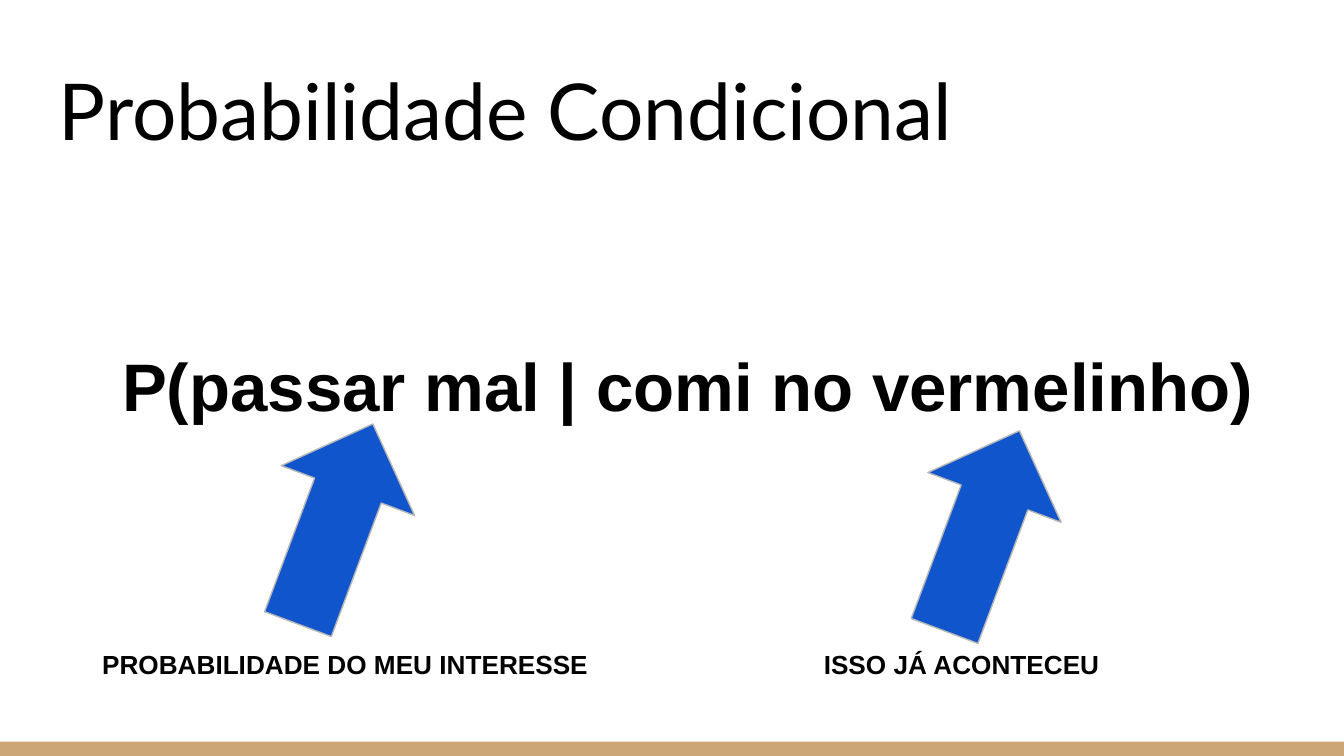
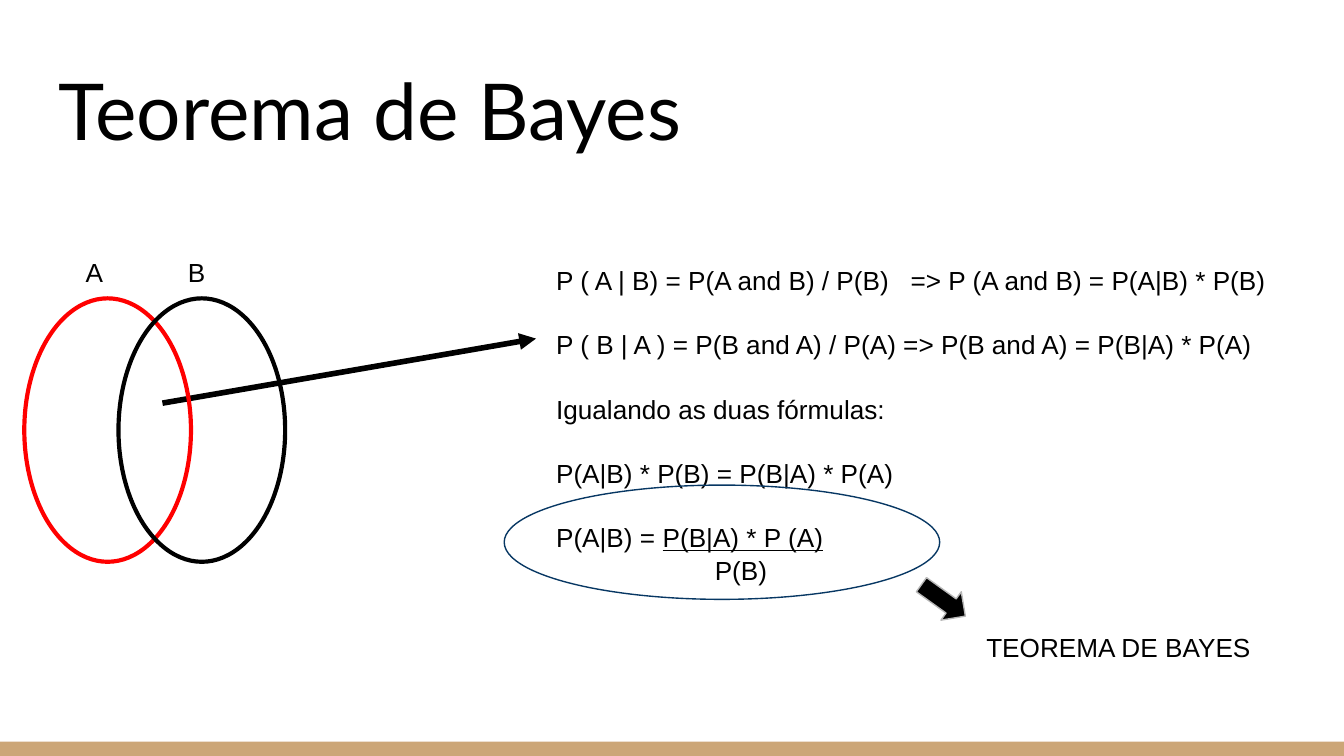
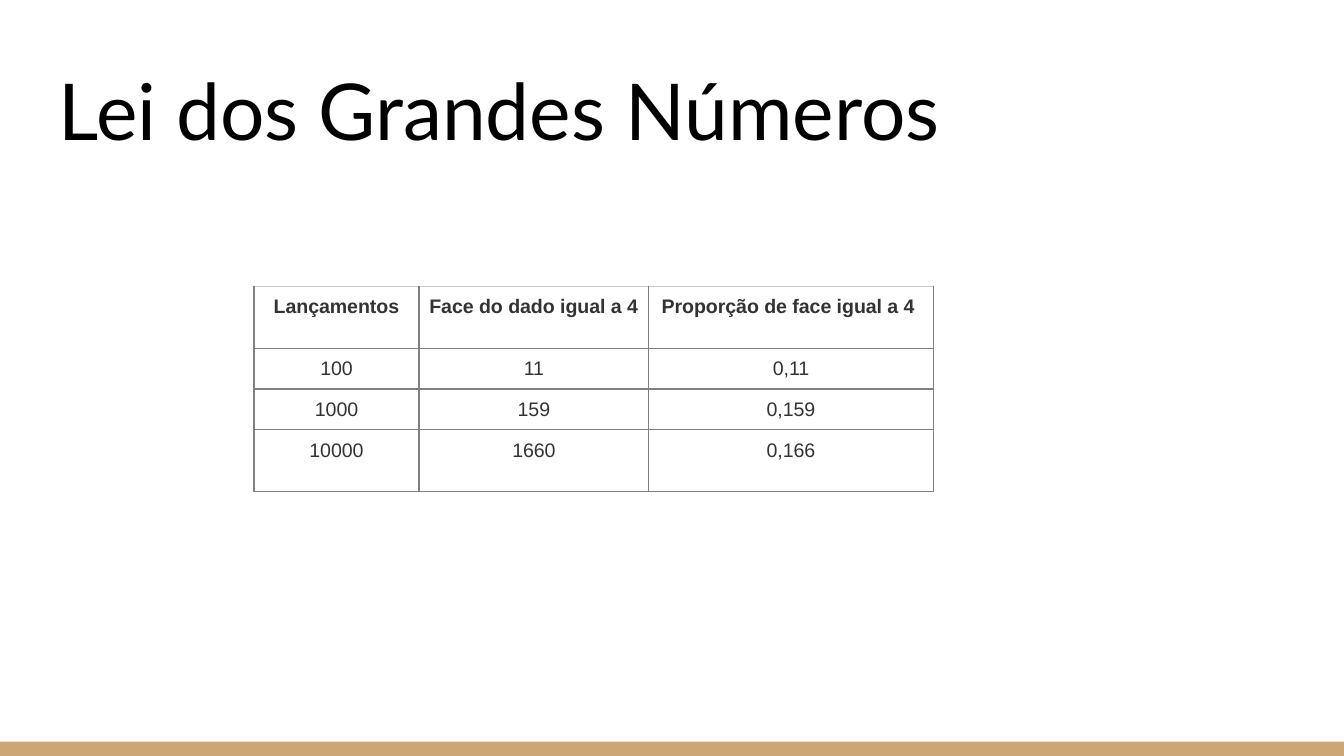
"""Builds three slides on conditional probability, Bayes and large numbers."""
from dataclasses import dataclass
from typing import NamedTuple

from lxml import etree
from pptx import Presentation
from pptx.dml.color import RGBColor
from pptx.enum.shapes import MSO_CONNECTOR, MSO_SHAPE
from pptx.enum.text import MSO_ANCHOR, PP_ALIGN
from pptx.oxml.ns import qn
from pptx.presentation import Presentation as Deck
from pptx.shapes.autoshape import Shape
from pptx.slide import Slide
from pptx.table import _Cell
from pptx.text.text import TextFrame, _Paragraph
from pptx.util import Cm, Pt

ARROW = MSO_SHAPE.RIGHT_ARROW
ELLIPSE = MSO_SHAPE.OVAL
RECTANGLE = MSO_SHAPE.RECTANGLE
STRAIGHT = MSO_CONNECTOR.STRAIGHT
TOP = MSO_ANCHOR.TOP
BOTTOM = MSO_ANCHOR.BOTTOM
CENTER = PP_ALIGN.CENTER

BLACK = "000000"
WHITE = "FFFFFF"
TAN = "CCA677"
BLUE = "1155CC"
NAVY = "073763"
RED = "FF0000"
SILVER = "B7B7B7"
PALE_GRAY = "CCCCCC"
GRAY = "808080"
CHARCOAL = "333333"

TITLE_FONT = "Lato"
BODY_FONT = "Arial"
BODY_SIZE = 14
HAIRLINE = 0.75
BLANK_LAYOUT = 6


class Box(NamedTuple):
    """Position and size in centimetres."""

    left: float
    top: float
    width: float
    height: float

    def lengths(self) -> tuple[Cm, Cm, Cm, Cm]:
        """Return the four values as lengths."""
        return Cm(self.left), Cm(self.top), Cm(self.width), Cm(self.height)


@dataclass(frozen=True)
class Label:
    """A line of text in its own box."""

    text: str
    box: Box
    size: float = BODY_SIZE
    bold: bool = False
    font: str = BODY_FONT
    anchor: MSO_ANCHOR = TOP


@dataclass(frozen=True)
class Figure:
    """A preset shape with its fill, outline and rotation."""

    kind: MSO_SHAPE
    box: Box
    fill: str | None = None
    outline: str | None = None
    weight: float = HAIRLINE
    rotation: float = 0


@dataclass(frozen=True)
class Formula:
    """A step of the derivation, with an optional underlined numerator."""

    text: str
    numerator: str = ""
    gap: float = 16.8
    indent: float = 0


SLIDE_WIDTH, SLIDE_HEIGHT = 25.4, 14.29
TITLE_BOX = Box(0.86, 0.89, 23.67, 2.31)
BAND = Figure(RECTANGLE, Box(0, 14.02, SLIDE_WIDTH, 0.27), fill=TAN)

CONDITIONAL_ARROWS = [
    Figure(ARROW, Box(left, top, 4.04, 2.69), BLUE, SILVER, rotation=290.5)
    for left, top in ((16.54, 8.69), (4.32, 8.56))
]
CONDITIONAL_LABELS = [
    Label("P(passar mal | comi no vermelinho)", Box(2.06, 6.25, 22.23, 2.41), 36, True),
    Label("ISSO JÁ ACONTECEU", Box(15.32, 12.01, 7.14, 1.35), bold=True),
    Label("PROBABILIDADE DO MEU INTERESSE", Box(1.68, 12.01, 10.54, 0.69), bold=True),
]

BAYES_FIGURES = [
    Figure(ELLIPSE, Box(0.46, 5.64, 3.15, 4.98), outline=RED, weight=2.25),
    Figure(ELLIPSE, Box(2.24, 5.64, 3.15, 4.98), outline=BLACK, weight=2.25),
    Figure(ELLIPSE, Box(9.53, 9.17, 8.23, 2.16), outline=NAVY),
    Figure(ARROW, Box(17.32, 11.02, 1.02, 0.66), BLACK, SILVER, rotation=35.6),
]
BAYES_LABELS = [
    Label("A", Box(1.37, 4.6, 1.02, 0.97)),
    Label("B", Box(3.3, 4.6, 1.02, 0.97)),
    Label("TEOREMA DE BAYES", Box(18.39, 11.68, 6.27, 0.81)),
]
DERIVATION_BOX = Box(10.26, 4.72, 15.14, 6.27)
IMPLICATION_TAB = 6.7
DERIVATION = [
    Formula("P ( A | B) = P(A and B) / P(B)\t=> P (A and B) = P(A|B) * P(B)", gap=0),
    Formula("P ( B | A ) = P(B and A) / P(A) => P(B and A) = P(B|A) * P(A)"),
    Formula("Igualando as duas fórmulas:"),
    Formula("P(A|B) * P(B) = P(B|A) * P(A)"),
    Formula("P(A|B) = ", numerator="P(B|A) * P (A)"),
    Formula("P(B)", gap=0, indent=3),
]

TABLE_LEFT, TABLE_TOP = 4.8, 5.41
COLUMN_WIDTHS = (3.12, 4.34, 5.38)
ROW_HEIGHTS = (1.17, 0.74, 0.74, 1.17)
THROWS = [
    ("Lançamentos", "Face do dado igual a 4", "Proporção de face igual a 4 "),
    ("100", "11", "0,11"),
    ("1000", "159", "0,159"),
    ("10000", "1660", "0,166"),
]


def rgb(hex_code: str) -> RGBColor:
    """Turn a hex string into a colour."""
    return RGBColor.from_string(hex_code)


def format_runs(paragraph: _Paragraph, size: float, font: str = BODY_FONT,
                color: str = BLACK, bold: bool = False) -> None:
    """Give every run of a paragraph the same type."""
    for run in paragraph.runs:
        run.font.name = font
        run.font.size = Pt(size)
        run.font.bold = bold
        run.font.color.rgb = rgb(color)


def add_text_frame(slide: Slide, box: Box) -> TextFrame:
    """Add a wrapping text box with even insets."""
    frame = slide.shapes.add_textbox(*box.lengths()).text_frame
    frame.word_wrap = True
    frame.margin_left = frame.margin_right = Cm(0.25)
    frame.margin_top = frame.margin_bottom = Cm(0.25)
    return frame


def add_label(slide: Slide, label: Label) -> None:
    """Draw one label."""
    frame = add_text_frame(slide, label.box)
    frame.vertical_anchor = label.anchor
    frame.text = label.text
    format_runs(frame.paragraphs[0], label.size, label.font, bold=label.bold)


def add_figure(slide: Slide, figure: Figure) -> Shape:
    """Draw one preset shape."""
    shape = slide.shapes.add_shape(figure.kind, *figure.box.lengths())
    shape.shadow.inherit = False
    shape.rotation = figure.rotation
    if figure.fill:
        shape.fill.solid()
        shape.fill.fore_color.rgb = rgb(figure.fill)
    else:
        shape.fill.background()
    if figure.outline:
        shape.line.color.rgb = rgb(figure.outline)
        shape.line.width = Pt(figure.weight)
    else:
        shape.line.fill.background()
    return shape


def add_titled_slide(deck: Deck, title: str) -> Slide:
    """Add a blank slide with the band and the title."""
    slide = deck.slides.add_slide(deck.slide_layouts[BLANK_LAYOUT])
    add_figure(slide, BAND)
    add_label(slide, Label(title, TITLE_BOX, 42, font=TITLE_FONT, anchor=BOTTOM))
    return slide


def add_intersection_arrow(slide: Slide) -> None:
    """Point from the intersection of the sets to the formulas."""
    arrow = slide.shapes.add_connector(
        STRAIGHT, Cm(3.07), Cm(7.62), Cm(10.13), Cm(6.4))
    arrow.line.color.rgb = rgb(BLACK)
    arrow.line.width = Pt(3)
    etree.SubElement(arrow.line._get_or_add_ln(), qn("a:tailEnd"), type="triangle")
    etree.SubElement(arrow._element.spPr, qn("a:effectLst"))


def add_derivation(slide: Slide) -> None:
    """Write the steps that lead to the theorem."""
    frame = add_text_frame(slide, DERIVATION_BOX)
    for index, formula in enumerate(DERIVATION):
        paragraph = frame.add_paragraph() if index else frame.paragraphs[0]
        paragraph.text = formula.text
        paragraph.line_spacing = 1.05
        paragraph.space_before = Pt(formula.gap)
        properties = paragraph._p.get_or_add_pPr()
        if formula.indent:
            properties.set("marL", str(Cm(formula.indent)))
        if "\t" in formula.text:
            stops = etree.SubElement(properties, qn("a:tabLst"))
            etree.SubElement(stops, qn("a:tab"), pos=str(Cm(IMPLICATION_TAB)), algn="l")
        if formula.numerator:
            numerator = paragraph.add_run()
            numerator.text = formula.numerator
            numerator.font.underline = True
        format_runs(paragraph, BODY_SIZE)


def set_borders(cell: _Cell, top_color: str) -> None:
    """Outline a cell, with its own colour on top."""
    properties = cell._tc.get_or_add_tcPr()
    for side in "LRTB":
        edge = etree.SubElement(properties, qn(f"a:ln{side}"), w=str(Pt(HAIRLINE)))
        fill = etree.SubElement(edge, qn("a:solidFill"))
        color = top_color if side == "T" else GRAY
        etree.SubElement(fill, qn("a:srgbClr"), val=color)


def add_throws_table(slide: Slide) -> None:
    """Draw the table of dice throws."""
    box = Box(TABLE_LEFT, TABLE_TOP, sum(COLUMN_WIDTHS), sum(ROW_HEIGHTS))
    table = slide.shapes.add_table(
        len(THROWS), len(COLUMN_WIDTHS), *box.lengths()).table
    table.horz_banding = False
    for column, width in zip(table.columns, COLUMN_WIDTHS):
        column.width = Cm(width)
    for row_index, (row, height) in enumerate(zip(table.rows, ROW_HEIGHTS)):
        row.height = Cm(height)
        is_header = row_index == 0
        for cell, value in zip(row.cells, THROWS[row_index]):
            set_borders(cell, PALE_GRAY if is_header else GRAY)
            cell.fill.solid()
            cell.fill.fore_color.rgb = rgb(WHITE)
            cell.margin_left = cell.margin_right = Cm(0.13)
            cell.margin_top = cell.margin_bottom = Cm(0.13)
            cell.text_frame.text = value
            paragraph = cell.text_frame.paragraphs[0]
            paragraph.alignment = CENTER
            paragraph.line_spacing = 1.15
            format_runs(paragraph, 10.5, color=CHARCOAL, bold=is_header)


def add_figures_and_labels(slide: Slide, figures: list[Figure],
                           labels: list[Label]) -> None:
    """Draw the figures of a slide and then its labels."""
    for figure in figures:
        add_figure(slide, figure)
    for label in labels:
        add_label(slide, label)


def main() -> None:
    """Build and save the deck."""
    deck = Presentation()
    deck.slide_width, deck.slide_height = Cm(SLIDE_WIDTH), Cm(SLIDE_HEIGHT)

    conditional = add_titled_slide(deck, "Probabilidade Condicional")
    add_figures_and_labels(conditional, CONDITIONAL_ARROWS, CONDITIONAL_LABELS)

    bayes = add_titled_slide(deck, "Teorema de Bayes")
    add_intersection_arrow(bayes)
    add_derivation(bayes)
    add_figures_and_labels(bayes, BAYES_FIGURES, BAYES_LABELS)

    large_numbers = add_titled_slide(deck, "Lei dos Grandes Números")
    add_throws_table(large_numbers)

    deck.save("out.pptx")


if __name__ == "__main__":
    main()
